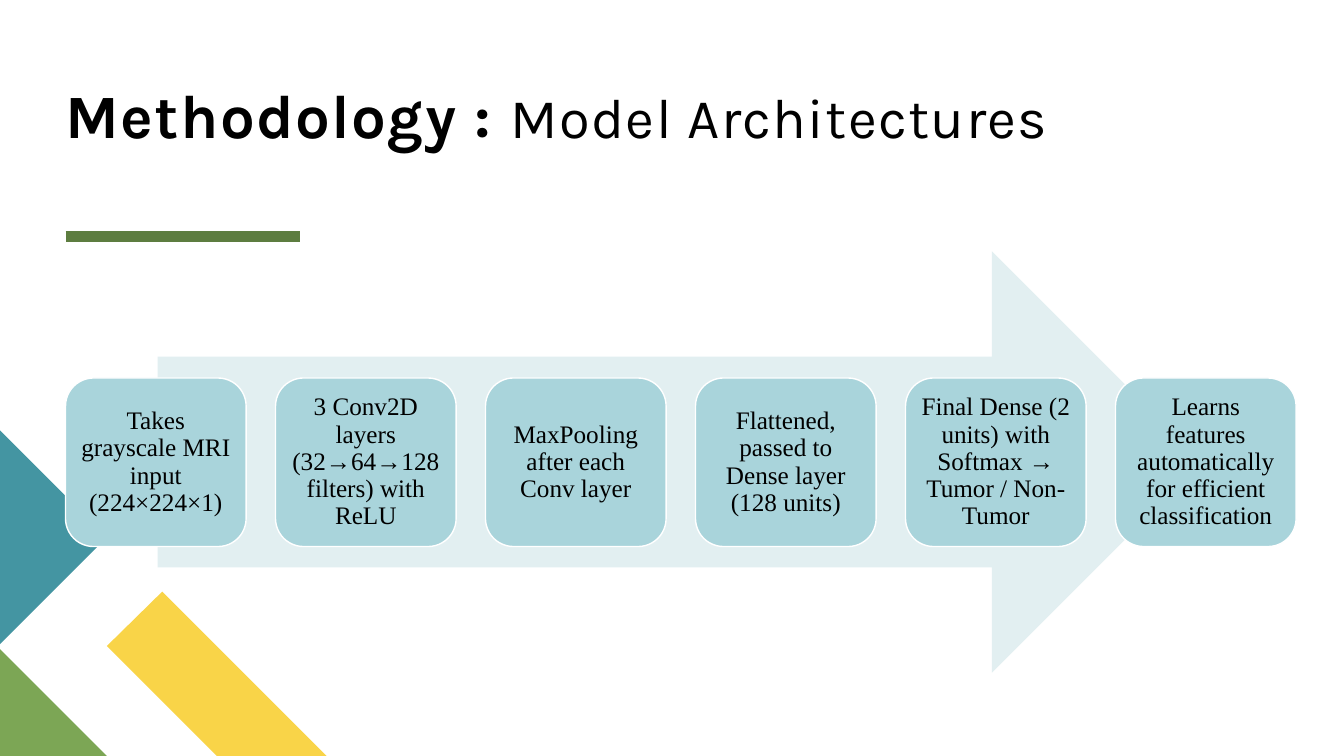
from dataclasses import dataclass

from lxml import etree
from pptx import Presentation
from pptx.dml.color import RGBColor
from pptx.enum.shapes import MSO_CONNECTOR, MSO_SHAPE
from pptx.enum.text import MSO_ANCHOR, MSO_AUTO_SIZE, PP_ALIGN
from pptx.oxml.ns import qn
from pptx.util import Pt

ARROW = MSO_SHAPE.RIGHT_ARROW
CARD = MSO_SHAPE.ROUNDED_RECTANGLE
STRAIGHT = MSO_CONNECTOR.STRAIGHT
MIDDLE = MSO_ANCHOR.MIDDLE
BOTTOM = MSO_ANCHOR.BOTTOM
FIXED = MSO_AUTO_SIZE.NONE
CENTER = PP_ALIGN.CENTER
LEFT = PP_ALIGN.LEFT


@dataclass(frozen=True)
class Theme:
    ink: str = "000000"
    white: str = "FFFFFF"
    rule: str = "5D7D40"
    gold: str = "F9D448"
    green: str = "7CA655"
    teal: str = "4495A2"
    pale: str = "E2EFF1"
    card: str = "A9D4DB"
    head: str = "Karla"
    body: str = "Times New Roman"
    big: int = 44
    mid: int = 40
    small: int = 18


THEME = Theme()
EDGE = 46.8
STEPS = [
    "Takes grayscale MRI input (224×224×1)",
    "3 Conv2D layers (32→64→128 filters) with ReLU",
    "MaxPooling after each Conv layer",
    "Flattened, passed to Dense layer (128 units)",
    "Final Dense (2 units) with Softmax → Tumor / Non-Tumor",
    "Learns features automatically for efficient classification",
]
DECOR = [
    (THEME.gold, [(233.3, 540), (154.8, 540), (76.3, 461.5), (115.9, 422.6)]),
    (THEME.green, [(76.3, 540), (0, 540), (0, 463.7)]),
    (THEME.teal, [(0, 307.4), (76.3, 383.8), (0, 460.1)]),
]


def paint(shape, color):
    shape.shadow.inherit = False
    shape.fill.solid()
    shape.fill.fore_color.rgb = RGBColor.from_string(color)
    shape.line.fill.background()


def style(run, name, size, bold=False):
    run.font.name = name
    run.font.size = Pt(size)
    run.font.bold = bold
    run.font.color.rgb = RGBColor.from_string(THEME.ink)


def set_frame(frame, anchor, inset):
    frame.word_wrap = True
    frame.auto_size = FIXED
    frame.vertical_anchor = anchor
    frame.margin_left = frame.margin_right = Pt(inset)
    frame.margin_top = frame.margin_bottom = Pt(inset)


def add_title(slide):
    title = slide.shapes.title
    title.left, title.top = Pt(EDGE), Pt(8)
    title.width, title.height = Pt(856), Pt(99.3)
    set_frame(title.text_frame, BOTTOM, 0)
    para = title.text_frame.paragraphs[0]
    para.alignment = LEFT
    para.line_spacing = 0.8
    parts = [
        ("Methodology : ", THEME.big, True),
        ("Model Architectures", THEME.mid, False),
    ]
    for text, size, bold in parts:
        run = para.add_run()
        run.text = text
        style(run, THEME.head, size, bold)
        run._r.get_or_add_rPr().set("spc", "100")


def add_rule(slide):
    rule = slide.shapes.add_connector(
        STRAIGHT, Pt(EDGE), Pt(169.2), Pt(214.6), Pt(169.2)
    )
    rule.line.color.rgb = RGBColor.from_string(THEME.rule)
    rule.line.width = Pt(8)
    etree.SubElement(rule._element.spPr, qn("a:effectLst"))


def add_patch(slide, color, points):
    first, *rest = [(Pt(x), Pt(y)) for x, y in points]
    pen = slide.shapes.build_freeform(*first)
    pen.add_line_segments(rest)
    paint(pen.convert_to_shape(), color)


def add_block(slide, kind, box, color):
    shape = slide.shapes.add_shape(kind, *map(Pt, box))
    paint(shape, color)
    return shape


def add_card(slide, left, text):
    card = add_block(slide, CARD, (left, 270, 129, 120.4), THEME.card)
    card.line.color.rgb = RGBColor.from_string(THEME.white)
    card.line.width = Pt(1)
    set_frame(card.text_frame, MIDDLE, 5)
    card.text_frame.text = text
    para = card.text_frame.paragraphs[0]
    para.alignment = CENTER
    para.line_spacing = 0.9
    style(para.runs[0], THEME.body, THEME.small)


def main():
    deck = Presentation()
    deck.slide_width, deck.slide_height = Pt(960), Pt(540)
    slide = deck.slides.add_slide(deck.slide_layouts[5])
    add_rule(slide)
    for color, points in DECOR:
        add_patch(slide, color, points)
    add_title(slide)
    add_block(slide, ARROW, (112.5, 179.5, 746.5, 301), THEME.pale)
    for i, text in enumerate(STEPS):
        add_card(slide, EDGE + 150 * i, text)
    deck.save("out.pptx")


if __name__ == "__main__":
    main()
